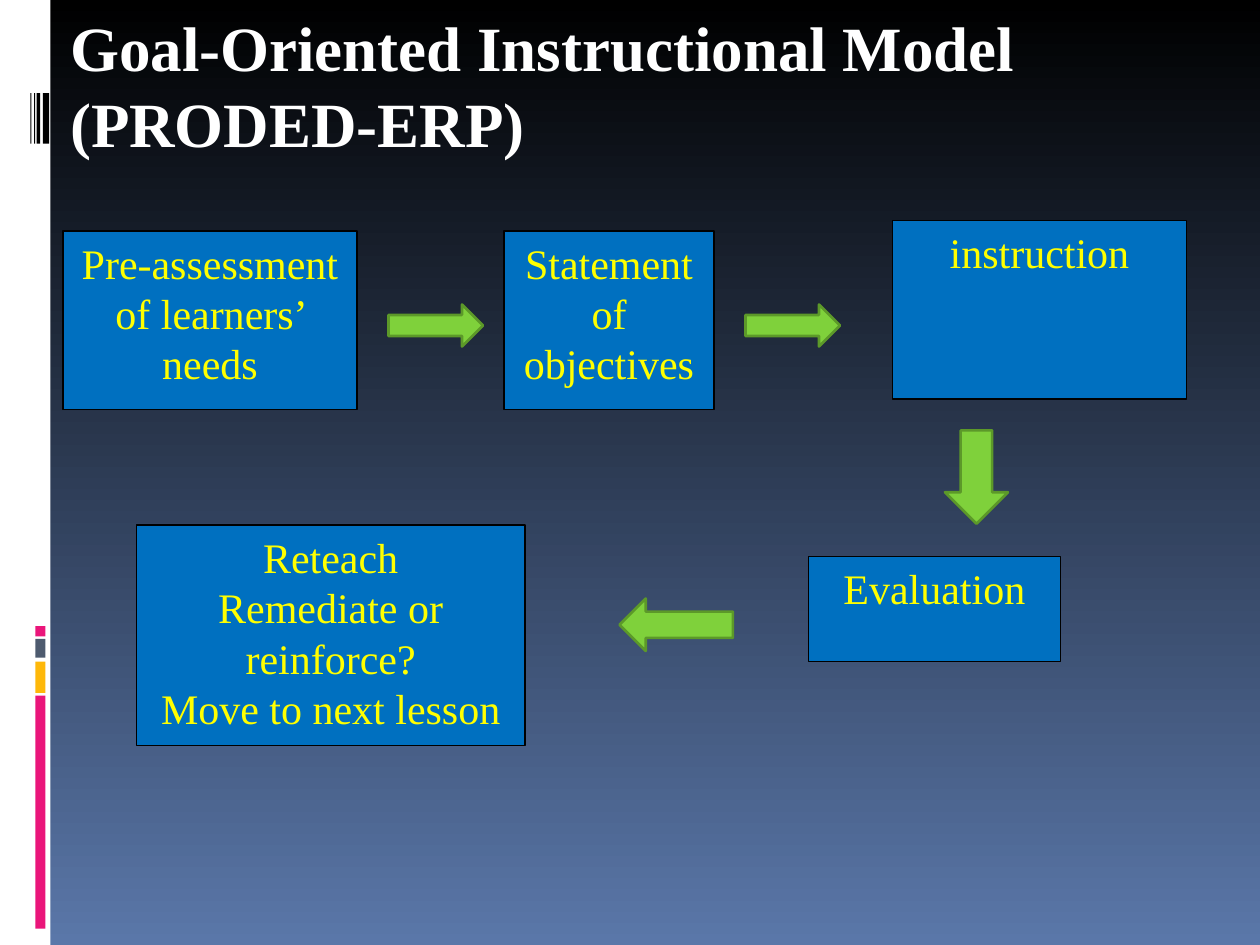
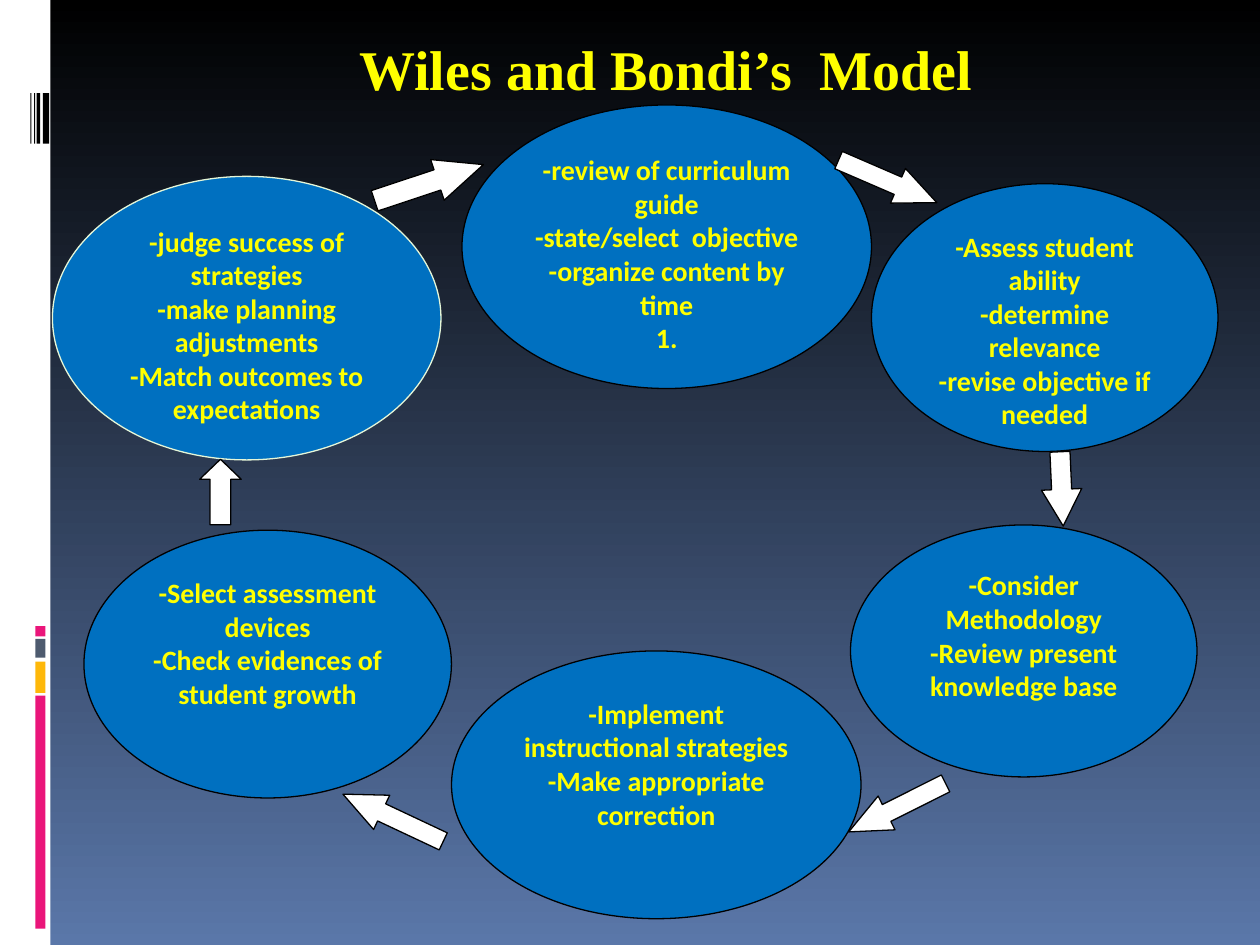
"""Build two slides that chart instructional planning models."""
from pptx import Presentation
from pptx.dml.color import RGBColor
from pptx.enum.shapes import MSO_SHAPE
from pptx.enum.text import MSO_ANCHOR, PP_ALIGN
from pptx.util import Inches, Pt

RECTANGLE, OVAL = MSO_SHAPE.RECTANGLE, MSO_SHAPE.OVAL
RIGHT_ARROW, DOWN_ARROW = MSO_SHAPE.RIGHT_ARROW, MSO_SHAPE.DOWN_ARROW
TOP, LEFT, CENTER = MSO_ANCHOR.TOP, PP_ALIGN.LEFT, PP_ALIGN.CENTER

BLACK = RGBColor(0x00, 0x00, 0x00)
WHITE = RGBColor(0xFF, 0xFF, 0xFF)
YELLOW = RGBColor(0xFF, 0xFF, 0x00)
BLUE = RGBColor(0x00, 0x70, 0xC0)
SKY = RGBColor(0x5A, 0x77, 0xA9)
PINK = RGBColor(0xEA, 0x15, 0x7A)
AMBER = RGBColor(0xFE, 0xB8, 0x0A)
SLATE = RGBColor(0x4E, 0x5B, 0x6F)
GREEN = RGBColor(0x7F, 0xD1, 0x3B)
DARK_GREEN = RGBColor(0x5C, 0x99, 0x29)
PALE_GREEN = RGBColor(0xE5, 0xF6, 0xD8)
SERIF, SANS = "Times New Roman", "Calibri"

COLUMNS, ROWS = 120, 90
deck = Presentation()
deck.slide_width, deck.slide_height = Inches(10), Inches(7.5)
COLUMN, ROW = deck.slide_width / COLUMNS, deck.slide_height / ROWS


def draw(page, kind, place, fill, line=None, weight=0.75):
    """Add a preset shape at a grid place (left, top, width, height)."""
    left, top, width, height = place
    shape = page.shapes.add_shape(kind, int(left * COLUMN), int(top * ROW),
                                  int(width * COLUMN), int(height * ROW))
    shape.shadow.inherit = False
    shape.fill.solid()
    shape.fill.fore_color.rgb = fill
    if line is None:
        shape.line.fill.background()
    else:
        shape.line.color.rgb = line
        shape.line.width = Pt(weight)
    return shape


def write(box, text, size, font, color, bold=False, align=CENTER):
    """Fill a box with paragraphs of one style, from the top down."""
    frame = box.text_frame
    frame.word_wrap = True
    frame.vertical_anchor = TOP
    frame.text = text
    for para in frame.paragraphs:
        para.alignment = align
        para.line_spacing = Pt(1.2 * size)
        for span in para.runs:
            span.font.size, span.font.name = Pt(size), font
            span.font.bold, span.font.color.rgb = bold, color


backdrop = deck.slide_master.background.fill
backdrop.gradient()
backdrop.gradient_angle = 270
for stop, color in zip(backdrop.gradient_stops, (BLACK, SKY)):
    stop.color.rgb = color

side_blocks = [(66.24, 22.2, PINK), (63, 3, AMBER), (60.84, 1.8, SLATE), (59.64, 0.96, PINK)]
side_bars = [(4.08, 0.6), (3.48, 0.36), (3.24, 0.12), (2.88, 0.12)]
titles = [
    ("Goal-Oriented Instructional Model\n(PRODED-ERP)", (5.5, 0.25, 94, 22.8), 36, WHITE),
    ("Wiles and Bondi’s  Model", (33, 2.65, 70, 14), 32, YELLOW),
]
pages = []
for text, (left, top, width, height), size, color in titles:
    page = deck.slides.add_slide(deck.slide_layouts[6])
    pages.append(page)
    draw(page, RECTANGLE, (0, 0, 4.8, ROWS), WHITE)
    for block_top, block_height, block_color in side_blocks:
        draw(page, RECTANGLE, (3.36, block_top, 0.96, block_height), block_color)
    for bar_left, bar_width in side_bars:
        draw(page, RECTANGLE, (bar_left, 8.88, bar_width, 4.8), BLACK)
    title = page.shapes.add_textbox(int(left * COLUMN), int(top * ROW),
                                    int(width * COLUMN), int(height * ROW))
    write(title, text, size, SERIF, color, True, LEFT)
goal_page, cycle_page = pages
title.left = int(33.05 * COLUMN)

steps = [
    ((6, 22, 28, 17), "Pre-assessment of learners’ needs"),
    ((85, 21, 28, 17), "instruction"),
    ((48, 22, 20, 17), "Statement of objectives"),
    ((13, 50, 37, 21), "Reteach\nRemediate or reinforce?\nMove to next lesson"),
    ((77, 53, 24, 10), "Evaluation"),
]
for place, text in steps:
    step = draw(goal_page, RECTANGLE, place, BLUE, BLACK)
    write(step, text, 24, SERIF, YELLOW)

step_arrows = [
    (RIGHT_ARROW, (37, 29, 9, 4), 0),
    (RIGHT_ARROW, (71, 29, 9, 4), 0),
    (DOWN_ARROW, (90, 41, 6, 8.88), 0),
    (RIGHT_ARROW, (59, 57, 10.8, 5), 180),
]
for kind, place, turn in step_arrows:
    arrow = draw(goal_page, kind, place, GREEN, DARK_GREEN, 1.5)
    arrow.rotation = turn

phases = [
    ((44, 10, 39, 27), BLACK,
     "-review of curriculum guide\n-state/select  objective\n-organize content by time\n1."),
    ((5, 16.8, 37, 27), PALE_GREEN,
     "-judge success of strategies\n-make planning adjustments\n-Match outcomes to expectations"),
    ((81, 50, 33, 24), BLACK, "-Consider Methodology\n-Review present knowledge base"),
    ((8, 50.5, 35, 25.5), BLACK,
     "-Select assessment devices\n-Check evidences of student growth"),
    ((43, 62, 39, 25.5), BLACK,
     "-Implement instructional strategies\n-Make appropriate correction"),
    ((83, 17.5, 33, 25.5), BLACK,
     "-Assess student ability\n-determine relevance\n-revise objective if needed"),
]
for place, outline, text in phases:
    phase = draw(cycle_page, OVAL, place, BLUE, outline)
    write(phase, text, 16, SANS, YELLOW, True)

cycle_arrows = [
    ((35.4, 15.36, 10.92, 4.08), 341.6, 1.13),
    ((79.44, 15.48, 10.2, 3.6), 23.4, 1.12),
    ((97.56, 44.64, 7.08, 3.84), 87.5, 0.91),
    ((80.28, 75.12, 10.32, 3.6), 153.4, 1.12),
    ((32.16, 76.08, 10.56, 3.6), 205.2, 1.13),
    ((17.88, 44.88, 6.24, 3.96), 270, 0.48),
]
for place, turn, head_length in cycle_arrows:
    arrow = draw(cycle_page, RIGHT_ARROW, place, WHITE, BLACK)
    arrow.rotation = turn
    arrow.adjustments[1] = head_length

deck.save("out.pptx")
